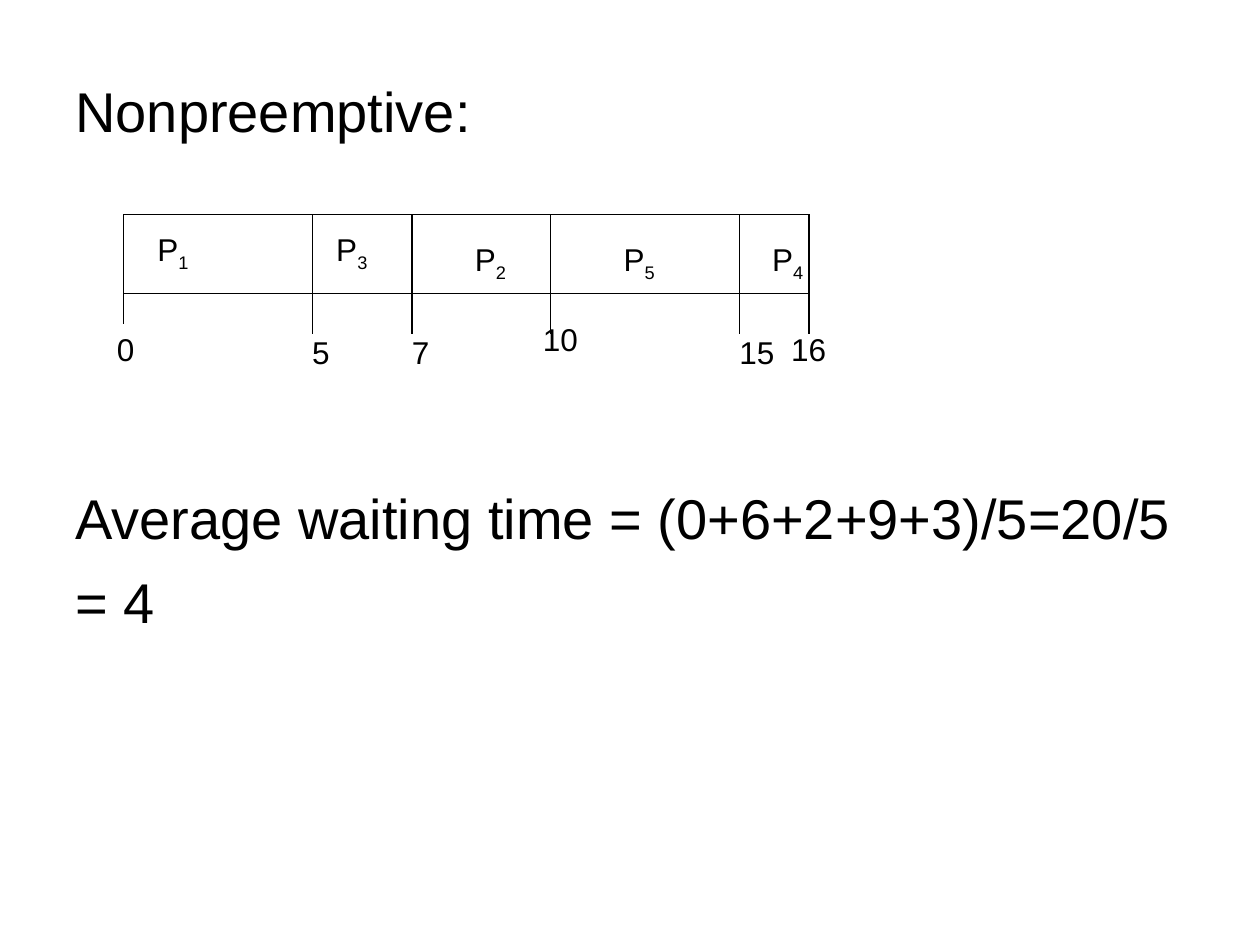
from dataclasses import dataclass
from pptx import Presentation
from pptx.dml.color import RGBColor
from pptx.enum.shapes import MSO_CONNECTOR
from pptx.enum.text import MSO_ANCHOR, PP_ALIGN
from pptx.oxml.ns import qn
from pptx.util import Inches, Pt

STRAIGHT = MSO_CONNECTOR.STRAIGHT
TOP, LEFT = MSO_ANCHOR.TOP, PP_ALIGN.LEFT


@dataclass(frozen=True)
class Theme:
    """Colours, font, type sizes and line width."""
    ink: RGBColor = RGBColor(0, 0, 0)
    paper: RGBColor = RGBColor(255, 255, 255)
    font: str = "Arial"
    body: float = 32
    label: float = 18
    gap: float = 9.6
    line: float = 0.75


THEME = Theme()
BAR = (0.98, 1.7, 5.44, 0.63)
TICKS = [("0", 0, 0.24, -0.15, 0.24), ("5", 1.5, 0.32, -0.1, 0.26),
         ("7", 2.29, 0.32, -0.1, 0.26), ("10", 3.39, 0.32, -0.16, 0.16),
         ("15", 4.89, 0.32, -0.1, 0.26), ("16", 5.44, 0.32, -0.24, 0.24)]
PROCESSES = [("1", 0.17, 0.08), ("3", 1.59, 0.08), ("2", 2.69, 0.16),
             ("5", 3.87, 0.16), ("4", 5.05, 0.16)]


def add_run(p, text, size, baseline=None):
    """Append one run, lowered by baseline when it is given."""
    r = p.add_run()
    r.text = text
    r.font.name, r.font.size = THEME.font, Pt(size)
    r.font.color.rgb = THEME.ink
    if baseline is not None:
        r.font._element.set("baseline", str(baseline))


def add_text(slide, box, paragraphs, size, wrap):
    """Place a text box whose paragraphs are lists of (text, baseline) runs."""
    tf = slide.shapes.add_textbox(*map(Inches, box)).text_frame
    tf.word_wrap, tf.vertical_anchor = wrap, TOP
    for i, runs in enumerate(paragraphs):
        p = tf.add_paragraph() if i else tf.paragraphs[0]
        p.alignment = LEFT
        p.space_before = Pt(THEME.gap if i else 0)
        for text, baseline in runs:
            add_run(p, text, size, baseline)


def add_line(slide, x1, y1, x2, y2):
    """Draw one thin line without a shadow."""
    c = slide.shapes.add_connector(STRAIGHT, *map(Inches, (x1, y1, x2, y2)))
    c.line.color.rgb, c.line.width = THEME.ink, Pt(THEME.line)
    sp_pr = c._element.spPr
    sp_pr.append(sp_pr.makeelement(qn("a:effectLst"), {}))


def add_statement(slide, box, lines):
    """Place large body lines in the box."""
    add_text(slide, box, [[(line, None)] for line in lines], THEME.body, True)


def add_gantt(slide, box):
    """Draw the schedule bar with its ticks, times and process names."""
    x, y, w, h = box
    for edge in (y, y + h):
        add_line(slide, x, edge, x + w, edge)
    for time, at, drop, dx, dy in TICKS:
        add_line(slide, x + at, y, x + at, y + h + drop)
        label = (x + at + dx, y + h + dy, 0.2 + 0.14 * len(time), 0.4)
        add_text(slide, label, [[(time, None)]], THEME.label, False)
    for number, dx, dy in PROCESSES:
        add_text(slide, (x + dx, y + dy, 0.45, 0.44),
                 [[("P", None), (number, -25000)]], THEME.label, False)


def main():
    """Build the scheduling slide and save it."""
    prs = Presentation()
    prs.slide_width, prs.slide_height = Inches(10), Inches(7.5)
    s = prs.slides.add_slide(prs.slide_layouts[6])
    s.background.fill.solid()
    s.background.fill.fore_color.rgb = THEME.paper
    add_statement(s, (0.5, 0.56, 9, 0.7), ["Nonpreemptive:"])
    add_gantt(s, BAR)
    add_statement(s, (0.5, 3.79, 9, 1.3),
                  ["Average waiting time = (0+6+2+9+3)/5=20/5", "= 4"])
    prs.save("out.pptx")


if __name__ == "__main__":
    main()
